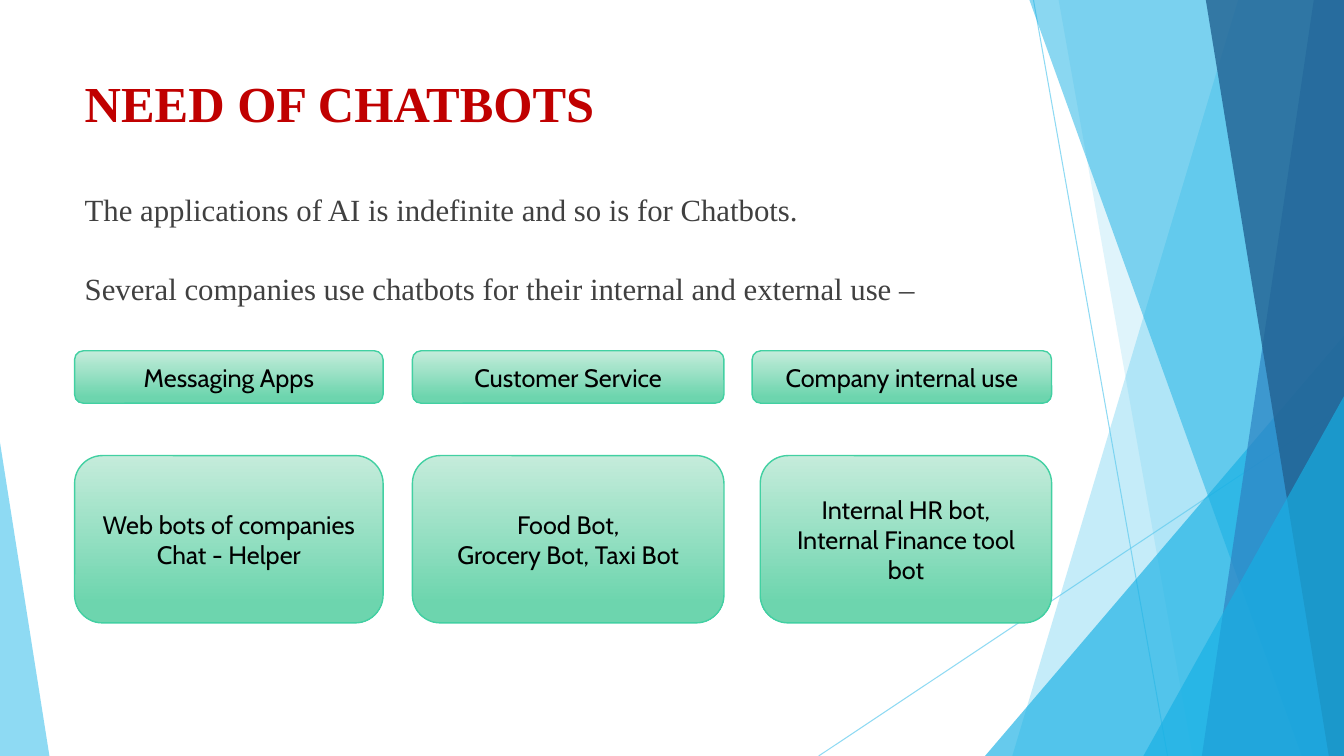
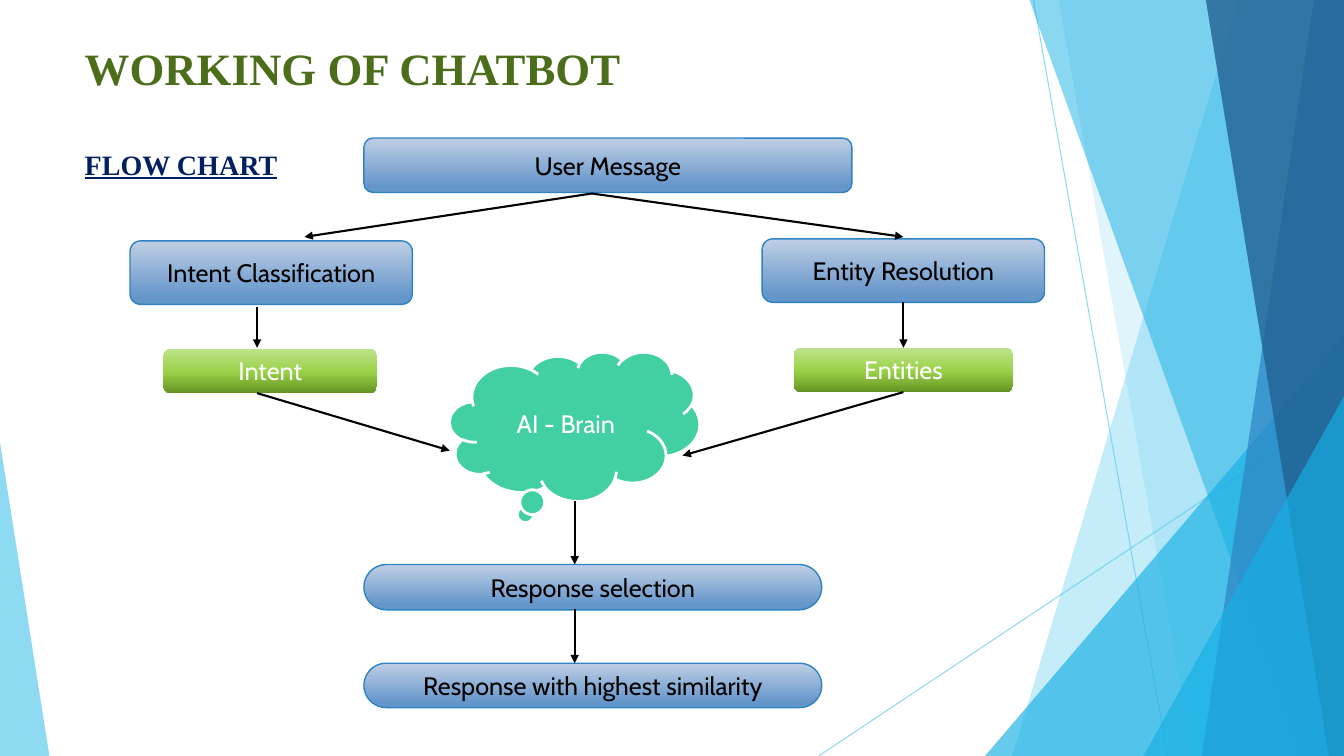
from dataclasses import dataclass
from typing import Optional, Union

from lxml.etree import SubElement
from pptx import Presentation
from pptx.dml.color import RGBColor
from pptx.enum.shapes import MSO_CONNECTOR as Line, MSO_SHAPE as Shape
from pptx.enum.text import MSO_ANCHOR as Anchor, MSO_AUTO_SIZE as AutoSize, PP_ALIGN as Align
from pptx.oxml.ns import qn
from pptx.util import Inches, Pt

WIDTH, HEIGHT = 13.33, 7.5
MARGIN, TEXT_WIDTH = 0.74, 9.4
SERIF, SANS = "Times New Roman", "Cabin"
SKY, AZURE, BLUE, NAVY = "5FCBEF", "17B0E4", "2E83C3", "226292"
BLACK, WHITE, GREY, MINT = "000000", "FFFFFF", "404040", "42D0A2"


@dataclass(frozen=True)
class Band:
    """Right-hand band whose left edge runs from top to bottom."""
    top: float
    bottom: float
    color: str
    alpha: int


@dataclass(frozen=True)
class Wedge:
    """Right triangle standing on the bottom edge, with its apex left (0) or right (1)."""
    left: float
    top: float
    width: float
    apex: int
    color: str
    alpha: int


@dataclass(frozen=True)
class Style:
    """Look of a box: gradient stops from top to bottom or one colour, outline and text."""
    stops: tuple[tuple[int, str], ...]
    text: str = BLACK
    line: Optional[str] = None
    line_width: float = 1


@dataclass(frozen=True)
class Box:
    """Labelled preset shape."""
    left: float
    top: float
    width: float
    height: float
    lines: tuple[str, ...]
    style: Style
    kind: Shape = Shape.ROUNDED_RECTANGLE
    radius: Optional[float] = None


@dataclass(frozen=True)
class Column:
    """Use of chatbots with its examples."""
    left: float
    width: float
    heading: str
    examples: tuple[str, ...]
    inset: float = 0


@dataclass(frozen=True)
class TextStyle:
    """Font settings of a placeholder."""
    size: float
    color: str
    bold: bool = False
    underline: bool = False
    font: str = SERIF


GREEN_BOX = Style(((0, "C5ECDB"), (88, "6DD5AE")), line=MINT)
BLUE_BOX = Style(((0, "BFCFE5"), (88, "6596CA")), line=BLUE)
LIME_BOX = Style(((0, "C0E38D"), (52, "99D247"), (100, "669424")), text=WHITE)
CLOUD = Style(((0, MINT),), text=WHITE, line=WHITE, line_width=2)

RAYS = (((10.25, 0), (11.58, HEIGHT)), ((WIDTH, 4.03), (8.12, HEIGHT)))
FACETS: tuple[Union[Band, Wedge], ...] = (
    Band(12.28, 10.04, SKY, 36),
    Band(10.5, 11.83, SKY, 20),
    Wedge(9.77, 3.33, 3.56, 1, AZURE, 66),
    Band(10.21, 12.91, AZURE, 50),
    Band(13.03, 11.92, BLUE, 70),
    Band(11.96, 13.18, NAVY, 80),
    Wedge(11.34, 3.93, 1.99, 1, AZURE, 66),
    Wedge(0, 4.39, 0.49, 0, SKY, 70),
)

COLUMNS = (
    Column(0.74, 3.06, "Messaging Apps", ("Web bots of companies", "Chat - Helper")),
    Column(4.09, 3.09, "Customer Service", ("Food Bot,", "Grocery Bot, Taxi Bot")),
    Column(7.46, 2.97, "Company internal use",
           ("Internal HR bot,", "Internal Finance tool bot"), inset=0.08),
)

FLOW_BOXES = (
    Box(3.61, 1.37, 4.84, 0.54, ("User Message",), BLUE_BOX),
    Box(1.29, 2.39, 2.8, 0.63, ("Intent Classification",), BLUE_BOX),
    Box(7.56, 2.37, 2.8, 0.63, ("Entity Resolution",), BLUE_BOX),
    Box(1.62, 3.46, 2.12, 0.44, ("Intent",), LIME_BOX),
    Box(7.87, 3.45, 2.18, 0.44, ("Entities",), LIME_BOX),
    Box(4.46, 3.49, 2.48, 1.48, ("AI - Brain",), CLOUD, Shape.CLOUD_CALLOUT),
    Box(3.61, 5.6, 4.54, 0.45, ("Response selection",), BLUE_BOX, radius=0.5),
    Box(3.61, 6.58, 4.54, 0.44, ("Response with highest similarity",), BLUE_BOX, radius=0.5),
)

MESSAGE_X, INTENT_X, ENTITY_X, BRAIN_X = 5.87, 2.55, 8.96, 5.7
FLOW_ARROWS = (
    ((MESSAGE_X, 1.92), (3.02, 2.35)),
    ((MESSAGE_X, 1.92), (ENTITY_X, 2.35)),
    ((INTENT_X, 3.05), (INTENT_X, 3.45)),
    ((ENTITY_X, 3), (ENTITY_X, 3.45)),
    ((INTENT_X, 3.9), (4.46, 4.47)),
    ((ENTITY_X, 3.89), (6.77, 4.52)),
    ((BRAIN_X, 4.97), (BRAIN_X, 5.6)),
    ((BRAIN_X, 6.04), (BRAIN_X, 6.58)),
)


def rgb(color: str) -> RGBColor:
    """Turn a hex string into a colour."""
    return RGBColor.from_string(color)


def fade(s, alpha: int) -> None:
    """Give every colour of a shape an opacity in percent."""
    for c in list(s.element.spPr.iter(qn("a:srgbClr"))):
        SubElement(c, qn("a:alpha"), val=str(alpha * 1000))


def add_line(shapes, start, end, color: str, width: float):
    """Draw a straight line without shadow."""
    s = shapes.add_connector(Line.STRAIGHT, *map(Inches, start + end))
    s.line.color.rgb = rgb(color)
    s.line.width = Pt(width)
    SubElement(s.element.spPr, qn("a:effectLst"))
    return s


def add_arrow(shapes, start, end) -> None:
    """Draw a black arrow."""
    s = add_line(shapes, start, end, BLACK, 1.5)
    SubElement(s.element.spPr.find(qn("a:ln")), qn("a:tailEnd"), type="triangle")


def add_facet(shapes, facet: Union[Band, Wedge]) -> None:
    """Draw one translucent facet of the backdrop."""
    if isinstance(facet, Band):
        corners = ((WIDTH, 0), (WIDTH, HEIGHT), (facet.bottom, HEIGHT))
        builder = shapes.build_freeform(Inches(facet.top), 0)
        builder.add_line_segments([tuple(map(Inches, c)) for c in corners])
        s = builder.convert_to_shape()
    else:
        s = shapes.add_shape(Shape.ISOSCELES_TRIANGLE, Inches(facet.left), Inches(facet.top),
                             Inches(facet.width), Inches(HEIGHT - facet.top))
        s.adjustments[0] = facet.apex
    s.shadow.inherit = False
    s.fill.solid()
    s.fill.fore_color.rgb = rgb(facet.color)
    s.line.fill.background()
    fade(s, facet.alpha)


def add_backdrop(sp, layout) -> None:
    """Draw the backdrop once and move it into the layout."""
    group = sp.shapes.add_group_shape()
    for start, end in RAYS:
        fade(add_line(group.shapes, start, end, SKY, 0.75), 70)
    for facet in FACETS:
        add_facet(group.shapes, facet)
    for number, c in enumerate(group.element.iter(qn("p:cNvPr")), 100):
        c.set("id", str(number))
    layout.element.cSld.spTree.insert(2, group.element)


def add_run(p, text: str, style: TextStyle) -> None:
    """Add one formatted run to a paragraph."""
    r = p.add_run()
    r.text = text
    r.font.name = style.font
    r.font.size = Pt(style.size)
    r.font.bold = style.bold
    r.font.underline = style.underline
    r.font.color.rgb = rgb(style.color)


def fill_placeholder(s, top: float, height: float, lines: tuple[str, ...],
                     style: TextStyle, gap: float = 0) -> None:
    """Place a placeholder and write plain left-aligned paragraphs."""
    s.left, s.top, s.width, s.height = map(Inches, (MARGIN, top, TEXT_WIDTH, height))
    tf = s.text_frame
    tf.word_wrap = True
    tf.auto_size = AutoSize.NONE
    tf.vertical_anchor = Anchor.TOP
    for i, text in enumerate(lines):
        p = tf.add_paragraph() if i else tf.paragraphs[0]
        p.alignment = Align.LEFT
        p.space_before = Pt(gap if i else 0)
        pPr = p._p.get_or_add_pPr()
        pPr.set("marL", "0")
        pPr.set("indent", "0")
        SubElement(pPr, qn("a:buNone"))
        add_run(p, text, style)


def paint(s, style: Style) -> None:
    """Apply fill and outline of a box."""
    s.shadow.inherit = False
    if len(style.stops) == 1:
        s.fill.solid()
        s.fill.fore_color.rgb = rgb(style.stops[0][1])
    else:
        s.fill.gradient()
        s.fill.gradient_angle = 270
        stops = s.element.spPr.find(".//" + qn("a:gsLst"))
        for stop in list(stops):
            stops.remove(stop)
        for position, color in style.stops:
            stop = SubElement(stops, qn("a:gs"), pos=str(position * 1000))
            SubElement(stop, qn("a:srgbClr"), val=color)
    if style.line:
        s.line.color.rgb = rgb(style.line)
        s.line.width = Pt(style.line_width)
    else:
        s.line.fill.background()


def add_box(shapes, box: Box) -> None:
    """Draw a box with its centred label."""
    s = shapes.add_shape(box.kind, *map(Inches, (box.left, box.top, box.width, box.height)))
    if box.radius is not None:
        s.adjustments[0] = box.radius
    paint(s, box.style)
    tf = s.text_frame
    tf.word_wrap = True
    tf.vertical_anchor = Anchor.MIDDLE
    for i, text in enumerate(box.lines):
        p = tf.add_paragraph() if i else tf.paragraphs[0]
        p.alignment = Align.CENTER
        add_run(p, text, TextStyle(18, box.style.text, font=SANS))


def add_title(sp, text: str, top: float, size: float, color: str) -> None:
    """Write the bold slide title."""
    fill_placeholder(sp.shapes.title, top, 0.83, (text,), TextStyle(size, color, bold=True))


def build_need(sp) -> None:
    """Build the slide on the uses of chatbots."""
    add_title(sp, "NEED OF CHATBOTS", 0.67, 36, "C00000")
    lines = ("The applications of AI is indefinite and so is for Chatbots.",
             "Several companies use chatbots for their internal and external use –")
    fill_placeholder(sp.placeholders[1], 1.84, 1.5, lines, TextStyle(22, GREY), gap=30)
    for col in COLUMNS:
        add_box(sp.shapes, Box(col.left, 3.48, col.width, 0.52, (col.heading,), GREEN_BOX))
        add_box(sp.shapes, Box(col.left + col.inset, 4.52, col.width - col.inset, 1.66,
                               col.examples, GREEN_BOX))


def build_working(sp) -> None:
    """Build the flow chart slide."""
    add_title(sp, "WORKING OF CHATBOT", 0.35, 32, "4C6E1B")
    fill_placeholder(sp.placeholders[1], 1.41, 0.5, ("FLOW CHART",),
                     TextStyle(20, "002060", bold=True, underline=True))
    for box in FLOW_BOXES:
        add_box(sp.shapes, box)
    for start, end in FLOW_ARROWS:
        add_arrow(sp.shapes, start, end)


def main() -> None:
    """Build and save the presentation."""
    prs = Presentation()
    prs.slide_width, prs.slide_height = Inches(WIDTH), Inches(HEIGHT)
    layout = prs.slide_layouts[1]
    need, working = (prs.slides.add_slide(layout) for _ in range(2))
    add_backdrop(need, layout)
    build_need(need)
    build_working(working)
    prs.save("out.pptx")


if __name__ == "__main__":
    main()
